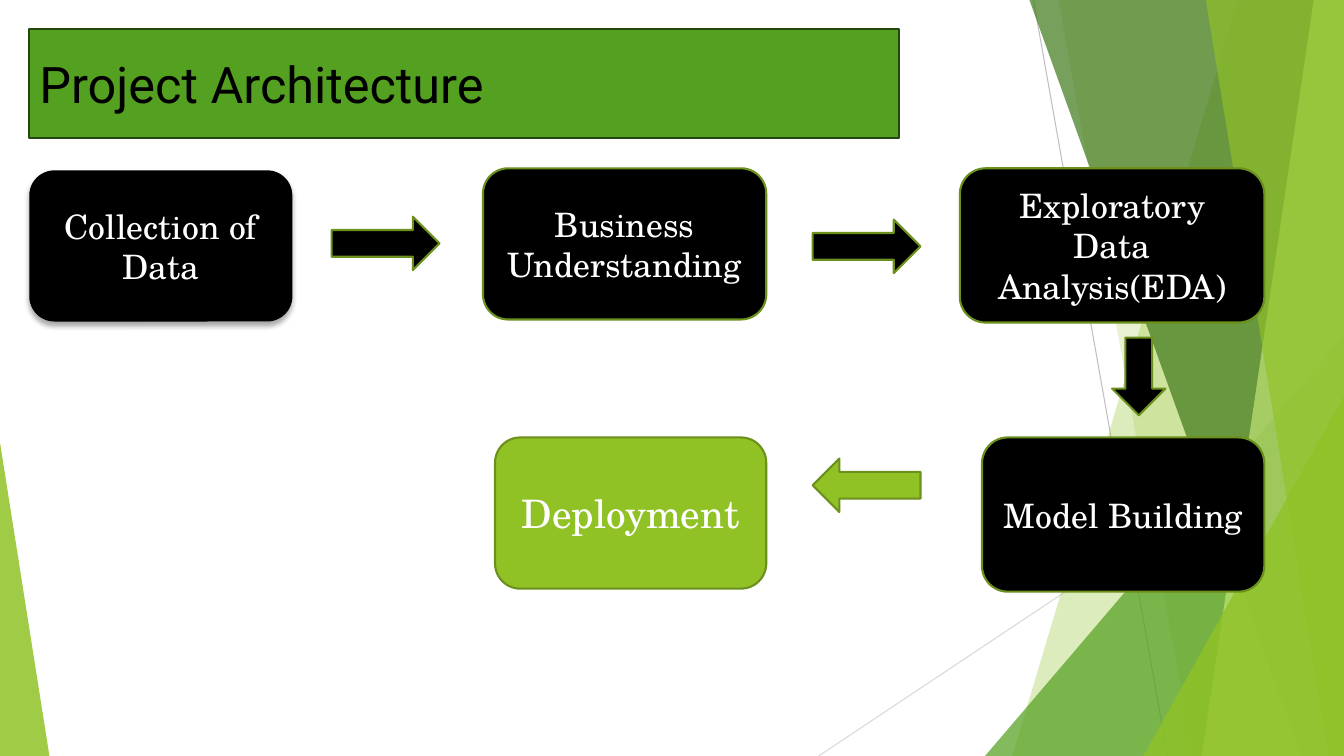
"""Build the project architecture slide."""
from lxml.etree import SubElement as Sub
from pptx import Presentation
from pptx.dml.color import RGBColor
from pptx.enum.shapes import MSO_CONNECTOR as Link, MSO_SHAPE as Kind
from pptx.enum.text import MSO_ANCHOR as Anchor, MSO_AUTO_SIZE as Fit, PP_ALIGN as Align
from pptx.oxml.ns import qn
from pptx.util import Inches, Pt

WIDE, HIGH = 13.33, 7.5
BLACK = RGBColor(0x00, 0x00, 0x00)
WHITE = RGBColor(0xFF, 0xFF, 0xFF)
LIME = RGBColor(0x90, 0xC2, 0x26)
PALE = RGBColor(0xC0, 0xE4, 0x74)
GREEN = RGBColor(0x54, 0xA0, 0x21)
DEEP = RGBColor(0x3F, 0x78, 0x19)
OLIVE = RGBColor(0x6B, 0x90, 0x1C)
DARK = RGBColor(0x25, 0x46, 0x0E)
GREY = RGBColor(0xBF, 0xBF, 0xBF)
MIST = RGBColor(0xD9, 0xD9, 0xD9)
SERIF, SANS = "TeX Gyre Schola", "Roboto"


def paint(shape, fill, edge=None, alpha=100):
    shape.fill.solid()
    shape.fill.fore_color.rgb = fill
    if alpha < 100:
        color = shape._element.spPr.find(qn("a:solidFill"))[0]
        Sub(color, qn("a:alpha"), val=str(alpha * 1000))
    if edge is None:
        shape.line.fill.background()
    else:
        shape.line.color.rgb = edge
        shape.line.width = Pt(1.5)


def write(shape, text, size, font, color, align):
    frame = shape.text_frame
    frame.word_wrap = True
    frame.auto_size = Fit.NONE
    frame.vertical_anchor = Anchor.MIDDLE
    para = frame.paragraphs[0]
    para.alignment = align
    run = para.add_run()
    run.text = text
    run.font.size = Pt(size)
    run.font.name = font
    run.font.color.rgb = color


def add_form(slide, kind, place, fill, edge=None, alpha=100):
    shape = slide.shapes.add_shape(kind, *map(Inches, place))
    shape.shadow.inherit = False
    paint(shape, fill, edge, alpha)
    return shape


def add_ray(slide, start, end, color):
    ray = slide.shapes.add_connector(Link.STRAIGHT, *map(Inches, start + end))
    ray.line.color.rgb = color
    ray.line.width = Pt(0.75)
    Sub(ray._element.spPr, qn("a:effectLst"))


def add_band(slide, top, base, fill, alpha):
    pen = slide.shapes.build_freeform(Inches(top), 0)
    ends = [(WIDE, 0), (WIDE, HIGH), (base, HIGH)]
    pen.add_line_segments([(Inches(x), Inches(y)) for x, y in ends])
    band = pen.convert_to_shape()
    band.shadow.inherit = False
    paint(band, fill, alpha=alpha)


def add_wedge(slide, place, tip, fill, alpha):
    wedge = add_form(slide, Kind.ISOSCELES_TRIANGLE, place, fill, alpha=alpha)
    wedge.adjustments[0] = tip


def add_step(slide, text, place, fill=BLACK, edge=OLIVE, size=24):
    step = add_form(slide, Kind.ROUNDED_RECTANGLE, place, fill, edge)
    write(step, text, size, SERIF, WHITE, Align.CENTER)
    return step


def add_shade(shape):
    glow = shape._element.spPr.find(qn("a:effectLst"))
    drop = Sub(glow, qn("a:outerShdw"), blurRad=str(Pt(4)), dist=str(Pt(3)),
               dir="5400000", rotWithShape="0")
    color = Sub(drop, qn("a:srgbClr"), val=str(BLACK))
    Sub(color, qn("a:alpha"), val="35000")


def set_title(slide, text, place):
    title = slide.shapes.title
    title.left, title.top, title.width, title.height = map(Inches, place)
    shell = Sub(title._element.spPr, qn("a:prstGeom"), prst="roundRect")
    Sub(shell, qn("a:avLst"))
    paint(title, GREEN, DARK)
    write(title, text, 36, SANS, BLACK, Align.LEFT)


def add_decor(slide):
    add_ray(slide, (10.25, 0), (11.58, HIGH), GREY)
    add_ray(slide, (WIDE, 4.03), (8.12, HIGH), MIST)
    add_band(slide, 12.28, 10.04, LIME, 30)
    add_band(slide, 10.5, 11.83, LIME, 20)
    add_wedge(slide, (9.77, 3.33, 3.56, 4.17), 1, GREEN, 72)
    add_band(slide, 10.21, 12.91, DEEP, 70)
    add_band(slide, 13.03, 11.92, PALE, 70)
    add_band(slide, 11.96, 13.18, LIME, 65)
    add_wedge(slide, (11.34, 3.93, 1.99, 3.57), 1, LIME, 80)
    add_wedge(slide, (0, 4.39, 0.49, 3.11), 0, LIME, 85)


def add_flow(slide):
    first = add_step(slide, "Collection of Data", (0.29, 1.69, 2.61, 1.5), edge=None)
    add_shade(first)
    add_step(slide, "Business Understanding", (4.79, 1.67, 2.81, 1.5))
    add_step(slide, "Exploratory Data Analysis(EDA)", (9.52, 1.67, 3.02, 1.53))
    add_step(slide, "Deployment", (4.91, 4.34, 2.69, 1.5), LIME, size=28)
    add_step(slide, "Model Building", (9.74, 4.34, 2.8, 1.53))
    for kind, place, fill in (
        (Kind.RIGHT_ARROW, (3.29, 2.15, 1.07, 0.53), BLACK),
        (Kind.RIGHT_ARROW, (8.06, 2.18, 1.07, 0.53), BLACK),
        (Kind.DOWN_ARROW, (11.03, 3.35, 0.53, 0.77), BLACK),
        (Kind.LEFT_ARROW, (8.06, 4.55, 1.07, 0.53), LIME),
    ):
        add_form(slide, kind, place, fill, OLIVE)


def main():
    deck = Presentation()
    deck.slide_width, deck.slide_height = Inches(WIDE), Inches(HIGH)
    slide = deck.slides.add_slide(deck.slide_layouts[5])
    add_decor(slide)
    add_flow(slide)
    set_title(slide, "Project Architecture", (0.29, 0.29, 8.63, 1.08))
    deck.save("out.pptx")


if __name__ == "__main__":
    main()
